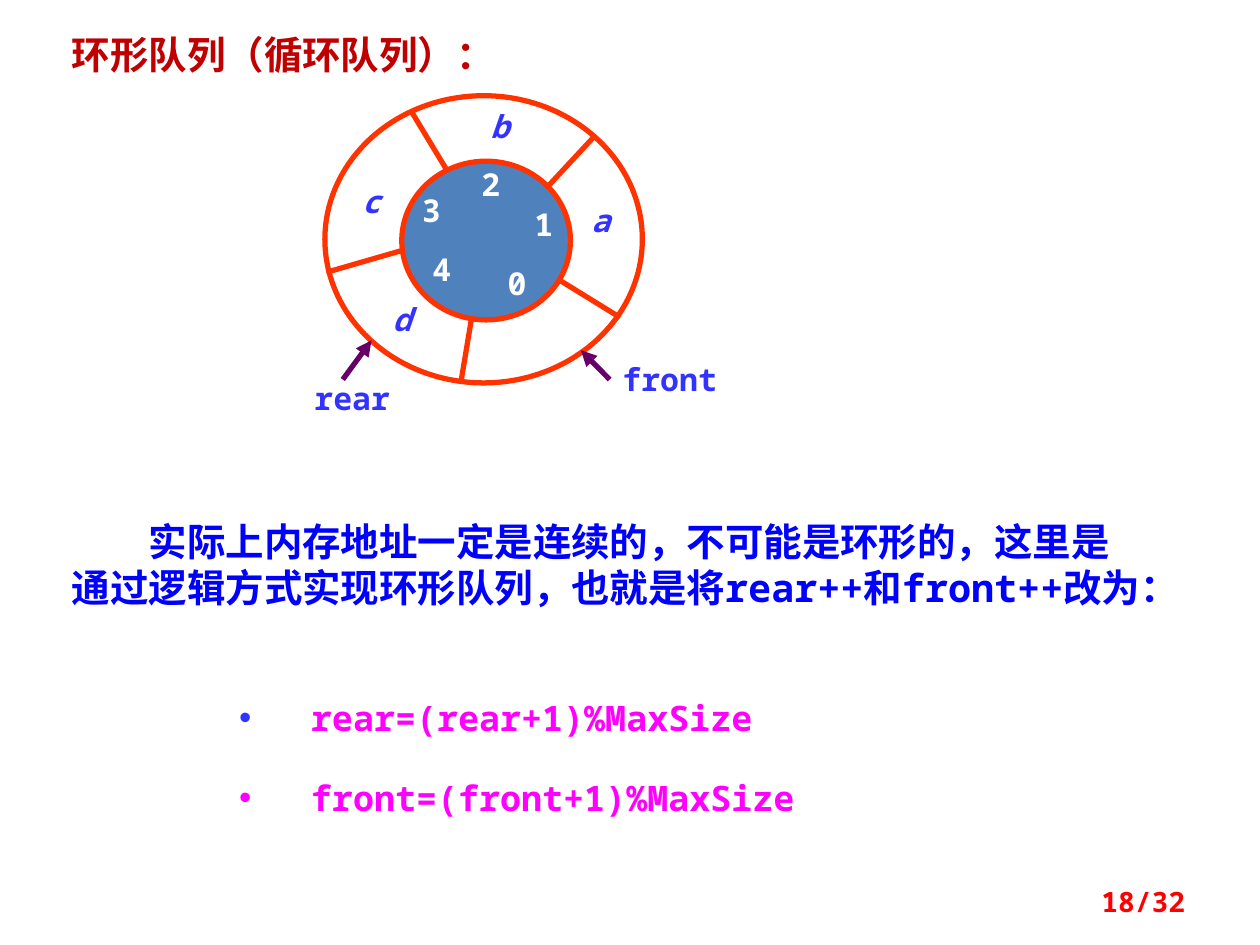
from pptx import Presentation, util as u
from pptx.dml.color import RGBColor
from pptx.enum import shapes, text
from pptx.oxml.ns import qn
from lxml import etree

FONT = "Noto Sans Mono"
RED, PURPLE, BLUE, WHITE, PINK = "FF3300", "660066", "3333FF", "FFFFFF", "FF00FF"

RINGS = [((8.1, 3.25, 3.4, 3.2), "4F81BD"), ((6.55, 1.93, 6.4, 5.79), None)]
SPOKES = [
    (11.3, 5.66, 12.5, 6.4),
    (11.07, 3.73, 11.99, 2.74),
    (8.3, 2.26, 9.02, 3.45),
    (9.5, 6.45, 9.3, 7.65),
    (6.58, 5.49, 8.1, 5.05),
]
POINTERS = [(12.29, 7.65, 11.71, 7.06), (6.91, 7.65, 7.49, 6.86)]
INDEXES = [("0", 10.03, 5.33), ("1", 10.57, 4.14), ("2", 9.5, 3.33),
           ("3", 8.3, 3.86), ("4", 8.51, 5.05)]
ELEMENTS = [("a", 11.71, 4.06), ("b", 9.68, 2.16), ("c", 7.09, 3.66), ("d", 7.7, 6.05)]
NAMES = [("front", 12.5, 7.26), ("rear", 6.1, 7.65)]
TITLE = "环形队列（循环队列）："
NOTE = "实际上内存地址一定是连续的，不可能是环形的，这里是通过逻辑方式实现环形队列，也就是将rear++和front++改为："
FORMULAS = [("rear=(rear+1)%MaxSize", BLUE), ("front=(front+1)%MaxSize", PINK)]
PAGE = "18/32"

prs = Presentation()
prs.slide_width, prs.slide_height = u.Cm(25.4), u.Cm(19.05)
s = prs.slides.add_slide(prs.slide_layouts[6])


def rgb(value):
    return RGBColor.from_string(value)


def add_line(ends, color, arrow=False):
    c = s.shapes.add_connector(shapes.MSO_CONNECTOR.STRAIGHT, *map(u.Cm, ends))
    c.line.color.rgb = rgb(color)
    c.line.width = u.Pt(3)
    if arrow:
        etree.SubElement(c.line._get_or_add_ln(), qn("a:tailEnd"), type="triangle")
    etree.SubElement(c._element.spPr, qn("a:effectLst"))


def add_box(box, inset=True):
    tf = s.shapes.add_textbox(*map(u.Cm, box)).text_frame
    tf.word_wrap = True
    if not inset:
        tf.margin_left = tf.margin_right = tf.margin_top = tf.margin_bottom = 0
    return tf


def add_run(p, words, size, color, italic=None):
    r = p.add_run()
    r.text = words
    r.font.name = FONT
    r.font.size = u.Pt(size)
    r.font.bold = True
    r.font.italic = italic
    r.font.color.rgb = rgb(color)


def add_label(words, left, top, width, color, italic=None):
    p = add_box((left, top, width, 0.76), inset=False).paragraphs[0]
    p.alignment = text.PP_ALIGN.CENTER
    add_run(p, words, 18, color, italic)


def add_bullet(p, color):
    pPr = p._p.get_or_add_pPr()
    pPr.set("marL", str(u.Cm(1.45)))
    pPr.set("indent", str(-u.Cm(1.45)))
    clr = etree.SubElement(pPr, qn("a:buClr"))
    etree.SubElement(clr, qn("a:srgbClr"), val=color)
    etree.SubElement(pPr, qn("a:buFont"), typeface="Arial")
    etree.SubElement(pPr, qn("a:buChar"), char="•")


for box, fill in RINGS:
    sp = s.shapes.add_shape(shapes.MSO_SHAPE.OVAL, *map(u.Cm, box))
    sp.shadow.inherit = False
    if fill:
        sp.fill.solid()
        sp.fill.fore_color.rgb = rgb(fill)
    else:
        sp.fill.background()
    sp.line.color.rgb = rgb(RED)
    sp.line.width = u.Pt(3)

for ends in SPOKES:
    add_line(ends, RED)
for ends in POINTERS:
    add_line(ends, PURPLE, arrow=True)

for words, left, top in INDEXES:
    add_label(words, left, top, 0.79, WHITE)
for words, left, top in ELEMENTS:
    add_label(words, left, top, 0.79, BLUE, italic=True)
for words, left, top in NAMES:
    add_label(words, left, top, 2, BLUE)

p = add_box((1.2, 10.31, 22.1, 2.13)).paragraphs[0]
p._p.get_or_add_pPr().set("indent", str(u.Cm(1.55)))
add_run(p, NOTE, 22, "0000FF")

tf = add_box((4.57, 13.49, 13.49, 3.25))
for i, (formula, bullet) in enumerate(FORMULAS):
    p = tf.add_paragraph() if i else tf.paragraphs[0]
    p.line_spacing = 1.5
    p.space_before = u.Pt(10)
    add_bullet(p, bullet)
    add_run(p, formula, 20, PINK)

add_run(add_box((1.2, 0.5, 10.2, 1.2)).paragraphs[0], TITLE, 22, "C00000")

tf = add_box((18.21, 17.65, 5.93, 1.02))
tf.vertical_anchor = text.MSO_ANCHOR.MIDDLE
p = tf.paragraphs[0]
p.alignment = text.PP_ALIGN.RIGHT
add_run(p, PAGE, 16, "FF0000")

prs.save("out.pptx")
